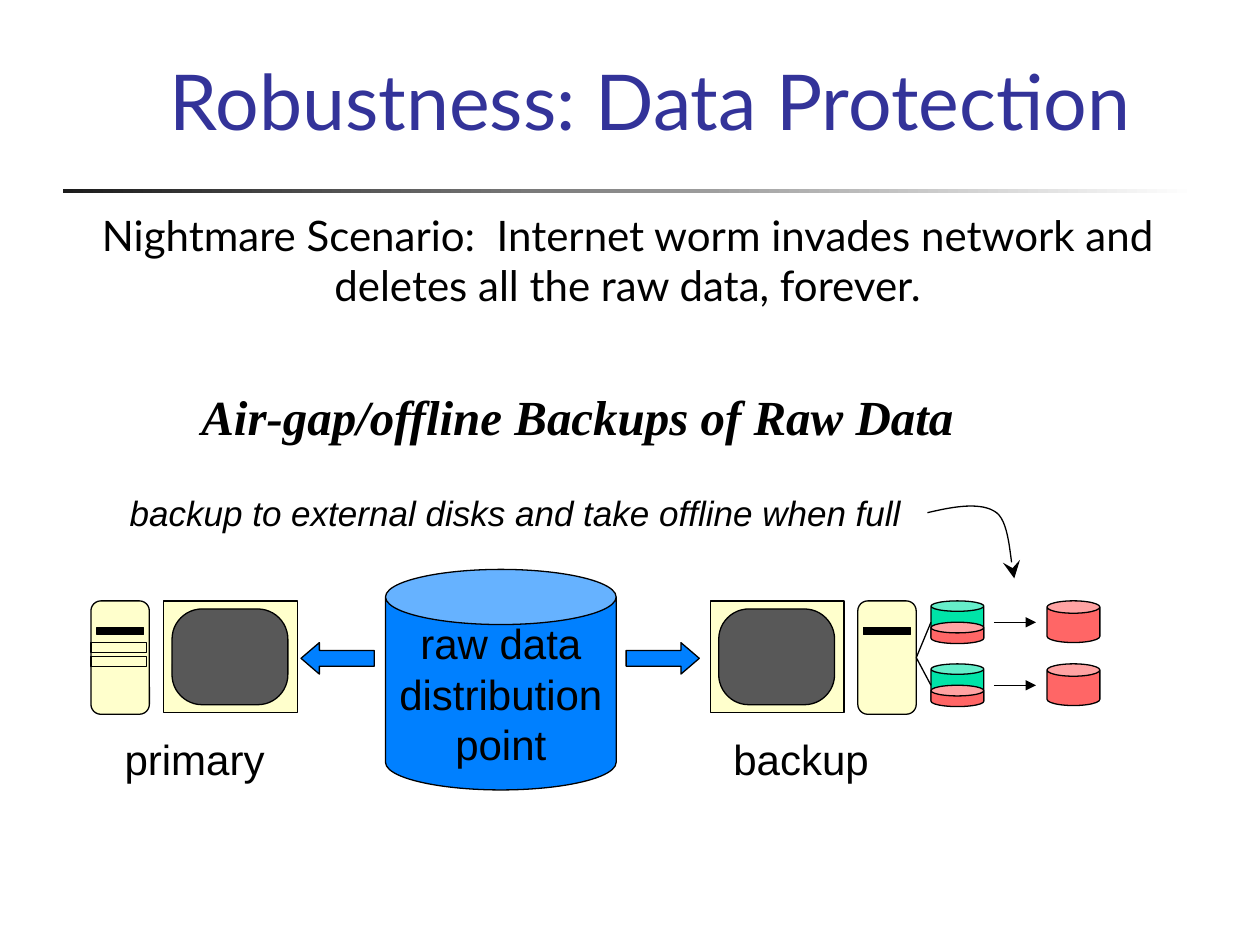
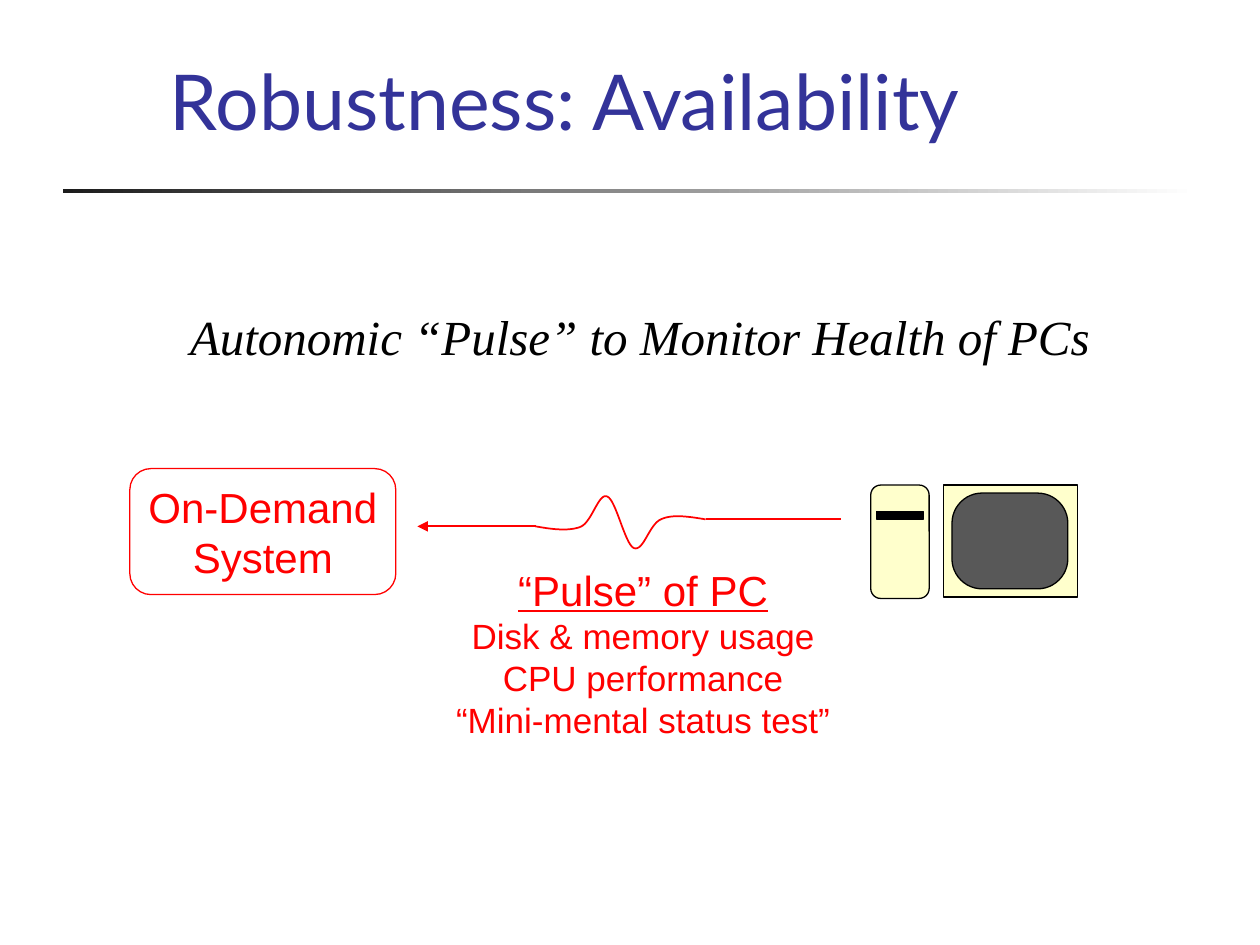
from lxml import etree
from pptx import Presentation
from pptx.dml.color import RGBColor
from pptx.enum.shapes import MSO_CONNECTOR, MSO_SHAPE
from pptx.enum.text import MSO_ANCHOR, PP_ALIGN
from pptx.oxml.ns import qn
from pptx.util import Pt

RECT, ROUND, CAN = MSO_SHAPE.RECTANGLE, MSO_SHAPE.ROUNDED_RECTANGLE, MSO_SHAPE.CAN
LEFT_ARROW, RIGHT_ARROW = MSO_SHAPE.LEFT_ARROW, MSO_SHAPE.RIGHT_ARROW
LINE = MSO_CONNECTOR.STRAIGHT
LEFT, CENTER = PP_ALIGN.LEFT, PP_ALIGN.CENTER
TOP, MIDDLE = MSO_ANCHOR.TOP, MSO_ANCHOR.MIDDLE

BLACK = RGBColor(0x00, 0x00, 0x00)
WHITE = RGBColor(0xFF, 0xFF, 0xFF)
INDIGO = RGBColor(0x33, 0x33, 0x99)
CHARCOAL = RGBColor(0x1C, 0x1C, 0x1C)
CREAM = RGBColor(0xFF, 0xFF, 0xCC)
GRAY = RGBColor(0x58, 0x58, 0x58)
BLUE = RGBColor(0x00, 0x80, 0xFF)
GREEN = RGBColor(0x00, 0xE4, 0xA8)
CORAL = RGBColor(0xFF, 0x66, 0x66)
RED = RGBColor(0xFF, 0x00, 0x00)

SANS, SERIF, HEAD = "Arial", "Times New Roman", "Lato"


def add_shape(s, kind, x, y, w, h, fill=None, line=BLACK, adj=()):
    sp = s.shapes.add_shape(kind, Pt(x), Pt(y), Pt(w), Pt(h))
    sp.shadow.inherit = False
    if fill is None:
        sp.fill.background()
    else:
        sp.fill.solid()
        sp.fill.fore_color.rgb = fill
    sp.line.color.rgb = line
    sp.line.width = Pt(0.75)
    for i, value in enumerate(adj):
        sp.adjustments[i] = value
    return sp


def write(sp, lines, size, font=SANS, color=BLACK, align=LEFT, anchor=TOP,
          wrap=False, bold=False, italic=False):
    tf = sp.text_frame
    tf.word_wrap = wrap
    tf.vertical_anchor = anchor
    tf.text = "\n".join(lines)
    for p in tf.paragraphs:
        p.alignment = align
        p.line_spacing = Pt(1.2 * size)
        p.font.name = font
        p.font.size = Pt(size)
        p.font.color.rgb = color
        p.font.bold = bold
        p.font.italic = italic
    return tf


prs = Presentation()
prs.slide_width, prs.slide_height = Pt(720), Pt(540)

# Title and fading rule on each slide
slides = []
for title in ("Robustness: Data Protection", "Robustness: Availability"):
    s = prs.slides.add_slide(prs.slide_layouts[6])
    rule = add_shape(s, RECT, 36, 108, 648, 2.2)
    rule.line.fill.background()
    rule.fill.gradient()
    rule.fill.gradient_angle = 0
    for stop, color in zip(rule.fill.gradient_stops, (CHARCOAL, WHITE)):
        stop.color.rgb = color
    box = s.shapes.add_textbox(Pt(90), Pt(12.2), Pt(613.4), Pt(90))
    write(box, [title], 44, HEAD, INDIGO, anchor=MIDDLE, wrap=True)
    slides.append(s)
protection, availability = slides

# Text boxes, the one-line ones a little wider than their words
for s, x, y, w, h, words, style in (
    (protection, 41.8, 115.9, 633.6, 64.8,
     "Nightmare Scenario:  Internet worm invades network and deletes all the raw data, forever.",
     dict(size=24, font=HEAD, align=CENTER, wrap=True)),
    (protection, 108, 217.4, 452, 41, "Air-gap/offline Backups of Raw Data",
     dict(size=28, font=SERIF, bold=True, italic=True)),
    (protection, 67, 277.2, 462, 31.7,
     "backup to external disks and take offline when full", dict(size=20, italic=True)),
    (protection, 64.1, 415.4, 102, 36, "primary", dict(size=24)),
    (protection, 412, 415.4, 100, 36, "backup", dict(size=24)),
    (availability, 101.5, 171.4, 536, 41, "Autonomic “Pulse” to Monitor Health of PCs",
     dict(size=28, font=SERIF, italic=True)),
):
    write(s.shapes.add_textbox(Pt(x), Pt(y), Pt(w), Pt(h)), [words], **style)

# Computers: tower with a slot, monitor with a screen
for s, tower_x, monitor_x, y in (
    (protection, 52, 93.6, 343.4),
    (protection, 490.2, 406, 343.4),
    (availability, 497.6, 539.3, 277.2),
):
    add_shape(s, RECT, monitor_x, y, 76.3, 64, CREAM)
    add_shape(s, ROUND, monitor_x + 4.7, y + 4.6, 66.2, 54.7, GRAY, adj=[0.315])
    add_shape(s, ROUND, tower_x, y, 33.4, 64.8, CREAM, adj=[0.17])
    add_shape(s, RECT, tower_x + 3.4, y + 15.1, 26.6, 4.3, BLACK)

# Drive bays of the primary computer
for y in (367.2, 375.1):
    add_shape(protection, RECT, 52, y, 31.7, 5.8)

# Distribution point with an arrow to each computer
store = add_shape(protection, CAN, 220.3, 325.4, 131.8, 126, BLUE, adj=[0.25])
write(store, ["raw data", "distribution", "point"], 24, align=CENTER, anchor=MIDDLE)
for kind, x in ((LEFT_ARROW, 172), (RIGHT_ARROW, 357.8)):
    add_shape(protection, kind, x, 367.2, 41.8, 18, BLUE, adj=[0.5, 0.583])

# Backup disks filling up and going offline
lines = []
for y in (343.4, 379.4):
    add_shape(protection, CAN, 532, y, 30.2, 23.8, GREEN, adj=[0.25])
    add_shape(protection, CAN, 532, y + 12.2, 30.2, 12.2, CORAL, adj=[0.5])
    add_shape(protection, CAN, 598.3, y, 30.2, 23.8, CORAL, adj=[0.297])
    lines += [(protection, 523.6, 375.8, 532, y + 12.2, BLACK, 0.75, None),
              (protection, 568, y + 12.2, 592, y + 12.2, BLACK, 0.75, "triangle")]

# Straight ends of the pulse
lines += [(availability, 403.2, 296.8, 480.4, 296.8, RED, 1.25, None),
          (availability, 306, 300.8, 238.5, 300.8, RED, 1.25, "triangle")]

arrows = []
for s, x1, y1, x2, y2, color, width, head in lines:
    sp = s.shapes.add_connector(LINE, Pt(x1), Pt(y1), Pt(x2), Pt(y2))
    sp.line.color.rgb = color
    sp.line.width = Pt(width)
    etree.SubElement(sp._element.spPr, qn("a:effectLst"))
    arrows.append((sp, head, "med"))

# Curves: a start point, then two controls and an end for each segment
for s, color, width, head, points in (
    (protection, BLACK, 0.75, "stealth",
     [(530, 293), (545, 289.4), (561, 286.6), (569.5, 293),
      (577.4, 298.8), (577.4, 323.3), (579.6, 330.5)]),
    (availability, RED, 1, None,
     [(306, 300.8), (315.4, 302.4), (324.7, 303.8), (331.9, 301),
      (338.4, 298.1), (342, 281.5), (347, 283.7),
      (352.1, 285.8), (357.1, 311), (362.2, 313.2),
      (367.9, 315.4), (370.8, 299.5), (378, 296.6),
      (384.5, 293.8), (393.8, 295.2), (403.2, 296.8)]),
):
    curve = []
    for i in range(0, len(points) - 1, 3):
        for step in range(1, 17):
            t = step / 16
            weights = ((1 - t) ** 3, 3 * t * (1 - t) ** 2, 3 * t * t * (1 - t), t ** 3)
            curve.append(tuple(
                Pt(sum(k * point[axis] for k, point in zip(weights, points[i:i + 4])))
                for axis in (0, 1)))
    builder = s.shapes.build_freeform(Pt(points[0][0]), Pt(points[0][1]))
    builder.add_line_segments(curve, close=False)
    sp = builder.convert_to_shape()
    sp.shadow.inherit = False
    sp.fill.background()
    sp.line.color.rgb = color
    sp.line.width = Pt(width)
    arrows.append((sp, head, "lg"))

# Arrowheads
for sp, head, size in arrows:
    if head:
        etree.SubElement(sp.line._get_or_add_ln(), qn("a:tailEnd"),
                         type=head, w=size, len=size)

# Monitoring system and what the pulse carries
system = add_shape(availability, ROUND, 74.2, 267.8, 152, 72, line=RED, adj=[0.167])
write(system, ["On-Demand", "System"], 24, color=RED, align=CENTER, anchor=MIDDLE)
box = availability.shapes.add_textbox(Pt(247), Pt(319), Pt(241), Pt(108))
tf = write(box, ["“Pulse” of PC", "Disk & memory usage", "CPU performance",
                 "“Mini-mental status test”"], 20, color=RED, align=CENTER)
p = tf.paragraphs[0]
p.font.size = Pt(24)
p.font.underline = True
p.line_spacing = Pt(28.8)

prs.save("out.pptx")
